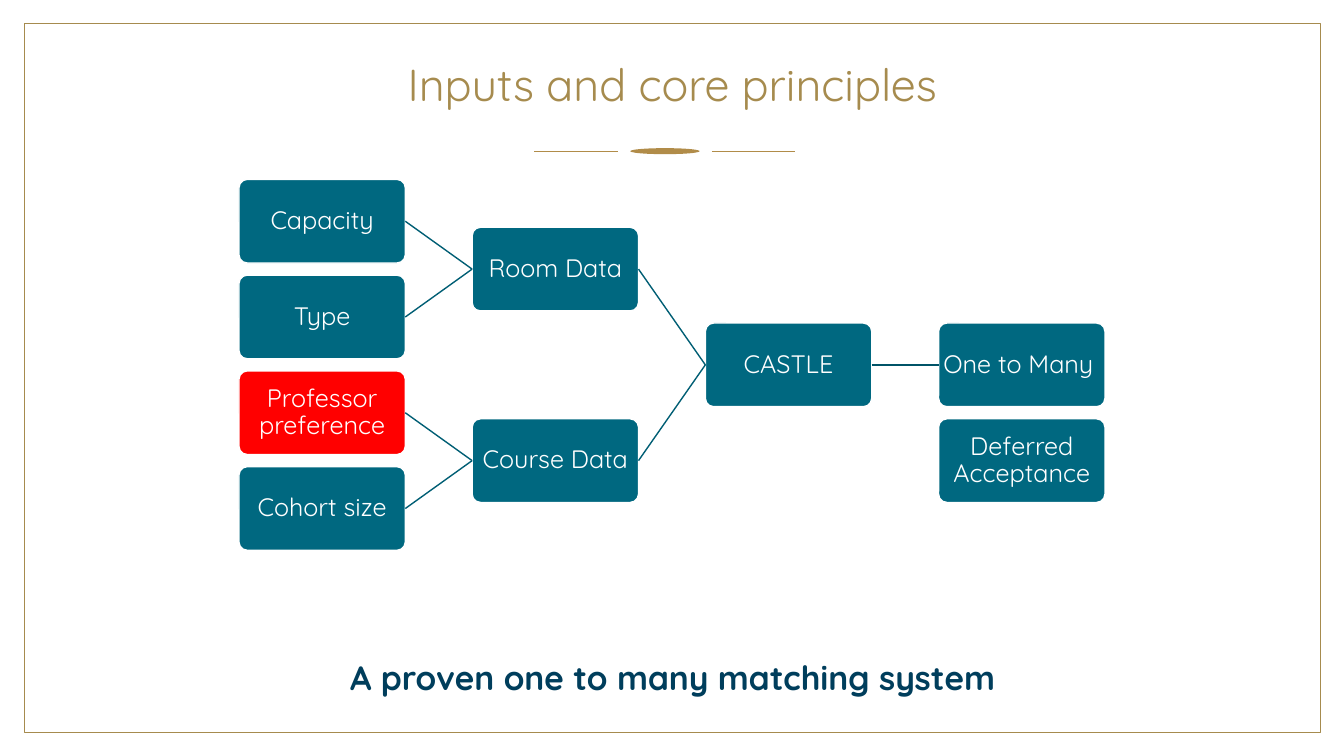
from lxml.etree import SubElement
from pptx import Presentation
from pptx.dml.color import RGBColor
from pptx.enum.shapes import MSO_CONNECTOR, MSO_SHAPE
from pptx.enum.text import MSO_ANCHOR, PP_ALIGN
from pptx.oxml.ns import qn
from pptx.util import Inches, Pt

FONT = "Quicksand"
GOLD, ORNAMENT_GOLD = "A68B4E", "B18C49"
TEAL, RED, WHITE, NAVY = "006880", "FF0000", "FFFFFF", "003E5C"
BRANCH, OUTPUT_BRANCH = "005E74", "005367"

GRID_LEFT, GRID_TOP = 2.37, 1.78
COLUMN_STEP, ROW_STEP = 2.313, 0.95
NODE_WIDTH, NODE_HEIGHT = 1.65, 0.83
LEFT_SIDE, RIGHT_SIDE = 1, 3

# label: (column, row, fill)
NODES = {
    "Capacity": (0, 0, TEAL),
    "Type": (0, 1, TEAL),
    "Professor preference": (0, 2, RED),
    "Cohort size": (0, 3, TEAL),
    "Room Data": (1, 0.5, TEAL),
    "Course Data": (1, 2.5, TEAL),
    "CASTLE": (2, 1.5, TEAL),
    "One to Many ": (3, 1.5, TEAL),
    "Deferred Acceptance": (3, 2.5, TEAL),
}
BRANCHES = [
    ("Capacity", "Room Data", BRANCH),
    ("Type", "Room Data", BRANCH),
    ("Professor preference", "Course Data", BRANCH),
    ("Cohort size", "Course Data", BRANCH),
    ("Room Data", "CASTLE", BRANCH),
    ("Course Data", "CASTLE", BRANCH),
    ("CASTLE", "One to Many ", OUTPUT_BRANCH),
]


def colour(hex_code):
    return RGBColor.from_string(hex_code)


def box(left, top, width, height):
    return [Inches(length) for length in (left, top, width, height)]


def write(frame, text, size, hex_code, bold=False, spacing=None):
    frame.word_wrap = True
    paragraph = frame.paragraphs[0]
    paragraph.alignment = PP_ALIGN.CENTER
    paragraph.line_spacing = spacing
    run = paragraph.add_run()
    run.text = text
    run.font.name = FONT
    run.font.size = Pt(size)
    run.font.bold = bold
    run.font.color.rgb = colour(hex_code)


def add_filled(slide, preset, place, fill=None, line=None, line_width=1):
    shape = slide.shapes.add_shape(preset, *place)
    shape.shadow.inherit = False
    if fill:
        shape.fill.solid()
        shape.fill.fore_color.rgb = colour(fill)
    else:
        shape.fill.background()
    if line:
        shape.line.color.rgb = colour(line)
        shape.line.width = Pt(line_width)
    else:
        shape.line.fill.background()
    return shape


def add_line(slide, hex_code, width, start=(0, 0), end=(0, 0)):
    ends = [Inches(length) for length in (*start, *end)]
    line = slide.shapes.add_connector(MSO_CONNECTOR.STRAIGHT, *ends)
    line.line.color.rgb = colour(hex_code)
    line.line.width = Pt(width)
    SubElement(line._element.spPr, qn("a:effectLst"))
    return line


def add_title(slide, text):
    title = slide.shapes.title
    title.left, title.top, title.width, title.height = box(0.92, 0.23, 11.5, 1.27)
    title.text_frame.vertical_anchor = MSO_ANCHOR.MIDDLE
    write(title.text_frame, text, 32, GOLD, spacing=0.9)


def add_ornament(slide):
    """Gold lens between two short rules, under the title."""
    for left in (5.3, 7.06):
        add_line(slide, ORNAMENT_GOLD, 0.5, (left, 1.5), (left + 0.83, 1.5))
    add_filled(slide, MSO_SHAPE.OVAL, box(6.25, 1.47, 0.69, 0.06), ORNAMENT_GOLD)


def add_node(slide, label, column, row, fill):
    place = box(GRID_LEFT + column * COLUMN_STEP, GRID_TOP + row * ROW_STEP,
                NODE_WIDTH, NODE_HEIGHT)
    node = add_filled(slide, MSO_SHAPE.ROUNDED_RECTANGLE, place, fill, WHITE)
    node.adjustments[0] = 0.1
    frame = node.text_frame
    frame.margin_left = frame.margin_right = Inches(0.01)
    frame.margin_top = frame.margin_bottom = Inches(0.01)
    frame.vertical_anchor = MSO_ANCHOR.MIDDLE
    write(frame, label, 18, WHITE, spacing=0.9)
    return node


def add_branch(slide, source, target, hex_code):
    branch = add_line(slide, hex_code, 1)
    branch.begin_connect(source, RIGHT_SIDE)
    branch.end_connect(target, LEFT_SIDE)


def main():
    deck = Presentation()
    deck.slide_width, deck.slide_height = Inches(13.33), Inches(7.5)
    slide = deck.slides.add_slide(deck.slide_layouts[5])

    add_filled(slide, MSO_SHAPE.RECTANGLE, box(0.24, 0.23, 12.86, 7.04),
               line=GOLD, line_width=0.75)
    add_title(slide, "Inputs and core principles")
    add_ornament(slide)

    nodes = {label: add_node(slide, label, *cell) for label, cell in NODES.items()}
    for source, target, hex_code in BRANCHES:
        add_branch(slide, nodes[source], nodes[target], hex_code)

    conclusion = slide.shapes.add_textbox(*box(3.07, 6.47, 7.2, 0.5))
    write(conclusion.text_frame, "A proven one to many matching system",
          24, NAVY, bold=True)

    deck.save("out.pptx")


if __name__ == "__main__":
    main()
